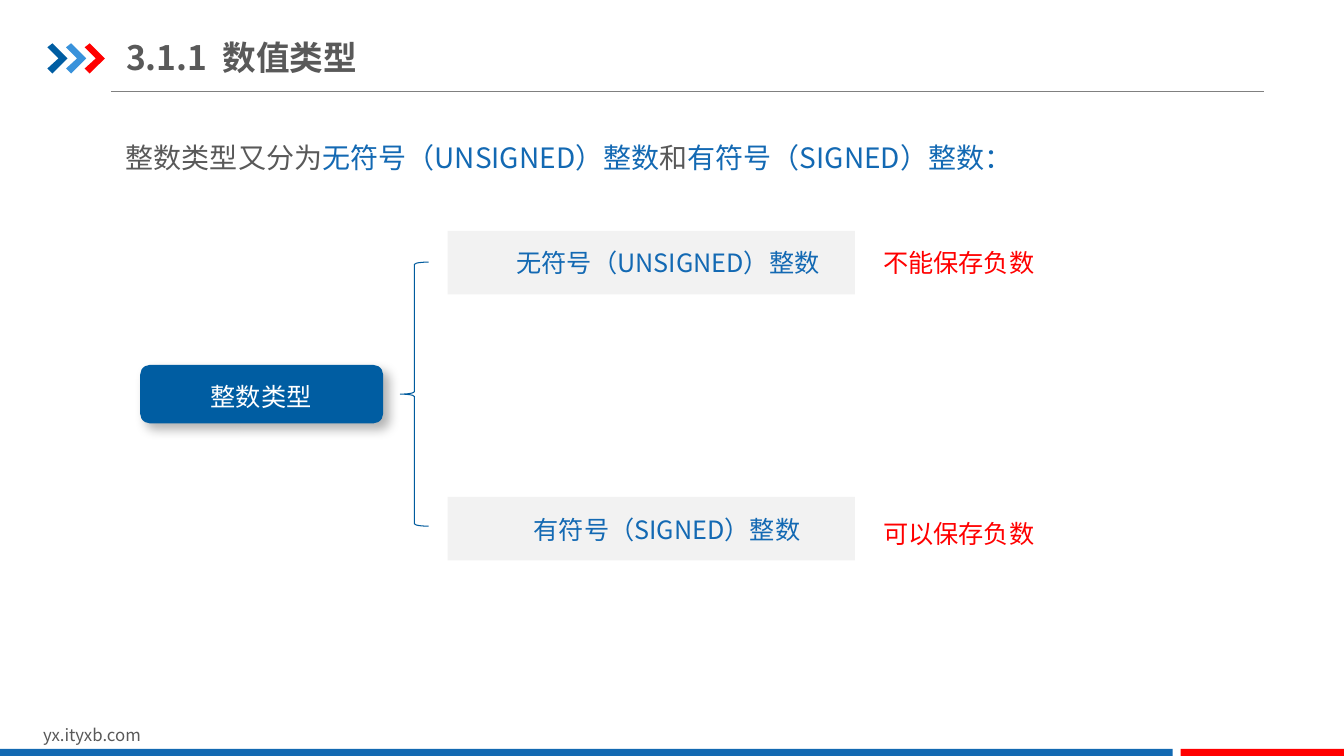
"""Build the slide on unsigned and signed integer types."""
import pptx
import pptx.dml.color
import pptx.enum.shapes
import pptx.enum.text
import pptx.oxml
import pptx.oxml.ns
import pptx.util
from lxml import etree

Inches = pptx.util.Inches
Kind = pptx.enum.shapes.MSO_SHAPE
Align = pptx.enum.text.PP_ALIGN
FONT = "Noto Sans CJK SC"
COLORS = {"navy": "005DA2", "sky": "3992DB", "red": "FF0000", "grey": "595959",
          "blue": "1369B2", "term": "1369B3", "panel": "F2F2F2", "brace": "005B9E",
          "rule": "808080", "white": "FFFFFF"}


def color(name):
    """Return the named colour."""
    return pptx.dml.color.RGBColor.from_string(COLORS[name])


def write(box, parts, size, align=Align.LEFT, bold=False):
    """Fill a box with one paragraph of coloured spans."""
    box.text_frame.word_wrap = True
    para = box.text_frame.paragraphs[0]
    para.alignment = align
    for text, name in parts:
        span = para.add_run()
        span.text = text
        styles = {"name": FONT, "size": pptx.util.Pt(size), "bold": bold}
        for key, value in styles.items():
            setattr(span.font, key, value)
        span.font.color.rgb = color(name)
        east = etree.SubElement(span._r.get_or_add_rPr(), pptx.oxml.ns.qn("a:ea"))
        east.set("typeface", FONT)
    return para


deck = pptx.Presentation()
deck.slide_width, deck.slide_height = Inches(13.33), Inches(7.5)
page = deck.slides.add_slide(deck.slide_layouts[5])
shapes = page.shapes

title = shapes.title
title.left, title.top, title.width, title.height = map(Inches, (1.25, 0.29, 4.26, 0.55))
frame_format = {"margin_left": 0, "margin_right": 0, "margin_top": Inches(0.07),
                "margin_bottom": Inches(0.07),
                "vertical_anchor": pptx.enum.text.MSO_ANCHOR.MIDDLE,
                "auto_size": pptx.enum.text.MSO_AUTO_SIZE.NONE}
for key, value in frame_format.items():
    setattr(title.text_frame, key, value)
write(title, [("3.1.1  数值类型", "grey")], 24, bold=True)

rule = shapes.add_connector(pptx.enum.shapes.MSO_CONNECTOR.STRAIGHT,
                            Inches(1.1), Inches(0.91), Inches(12.54), Inches(0.91))
rule.line.color.rgb = color("rule")
rule.line.width = pptx.util.Pt(0.75)
etree.SubElement(rule._element.spPr, pptx.oxml.ns.qn("a:effectLst"))

chevrons = shapes.add_group_shape()
outline = [(0, 0.47), (0.05, 0.43), (0.2, 0.58), (0.05, 0.73), (0, 0.68), (0.11, 0.58)]
for index, name in enumerate(("navy", "sky", "red")):
    left = 0.47 + 0.185 * index
    points = [(Inches(left + x), Inches(y)) for x, y in outline]
    builder = chevrons.shapes.build_freeform(*points[0])
    builder.add_line_segments(points[1:], close=True)
    chevron = builder.convert_to_shape()
    chevron.shadow.inherit = False
    chevron.fill.solid()
    chevron.fill.fore_color.rgb = color(name)
    chevron.line.fill.background()

blocks = [
    (Kind.RECTANGLE, (0, 7.43, 11.63, 0.09), "blue"),
    (Kind.RECTANGLE, (11.71, 7.43, 1.63, 0.09), "red"),
    (Kind.RECTANGLE, (4.44, 2.29, 4.04, 0.63), "panel"),
    (Kind.RECTANGLE, (4.44, 4.93, 4.04, 0.63), "panel"),
    (Kind.ROUNDED_RECTANGLE, (1.39, 3.62, 2.41, 0.58), "navy"),
]
for kind, place, name in blocks:
    block = shapes.add_shape(kind, *map(Inches, place))
    block.shadow.inherit = False
    block.fill.solid()
    block.fill.fore_color.rgb = color(name)
    block.line.fill.background()
    if kind == Kind.ROUNDED_RECTANGLE:
        effects = block._element.spPr.find(pptx.oxml.ns.qn("a:effectLst"))
        effects.append(pptx.oxml.parse_xml(
            f'<a:outerShdw {pptx.oxml.ns.nsdecls("a")} blurRad="101600" dist="76200" '
            'dir="2700000" algn="tl" rotWithShape="0"><a:srgbClr val="000000">'
            '<a:alpha val="30000"/></a:srgbClr></a:outerShdw>'))

brace = shapes.add_shape(Kind.LEFT_BRACE, *map(Inches, (3.97, 2.6, 0.28, 2.62)))
brace.shadow.inherit = False
brace.fill.background()
brace.line.color.rgb = color("brace")
brace.line.width = pptx.util.Pt(0.75)

intro = shapes.add_textbox(*map(Inches, (1.15, 1.18, 11.4, 0.61)))
write(intro, [("整数类型又分为", "grey"), ("无符号（UNSIGNED）整数", "term"),
              ("和", "grey"), ("有符号（SIGNED）整数：", "term")], 20).line_spacing = 1.5

labels = [
    ("整数类型", (1.49, 3.73, 2.2, 0.4), "white", 18, Align.CENTER),
    ("无符号（UNSIGNED）整数", (4.82, 2.4, 3.61, 0.4), "term", 18, Align.CENTER),
    ("有符号（SIGNED）整数", (4.81, 5.05, 3.61, 0.4), "term", 18, Align.CENTER),
    ("不能保存负数", (8.66, 2.4, 1.81, 0.4), "red", 18, Align.LEFT),
    ("可以保存负数", (8.66, 5.09, 1.81, 0.4), "red", 18, Align.LEFT),
    ("yx.ityxb.com", (0.33, 7.14, 3.18, 0.3), "grey", 12, Align.LEFT),
]
for text, place, name, size, align in labels:
    write(shapes.add_textbox(*map(Inches, place)), [(text, name)], size, align)

deck.save("out.pptx")
